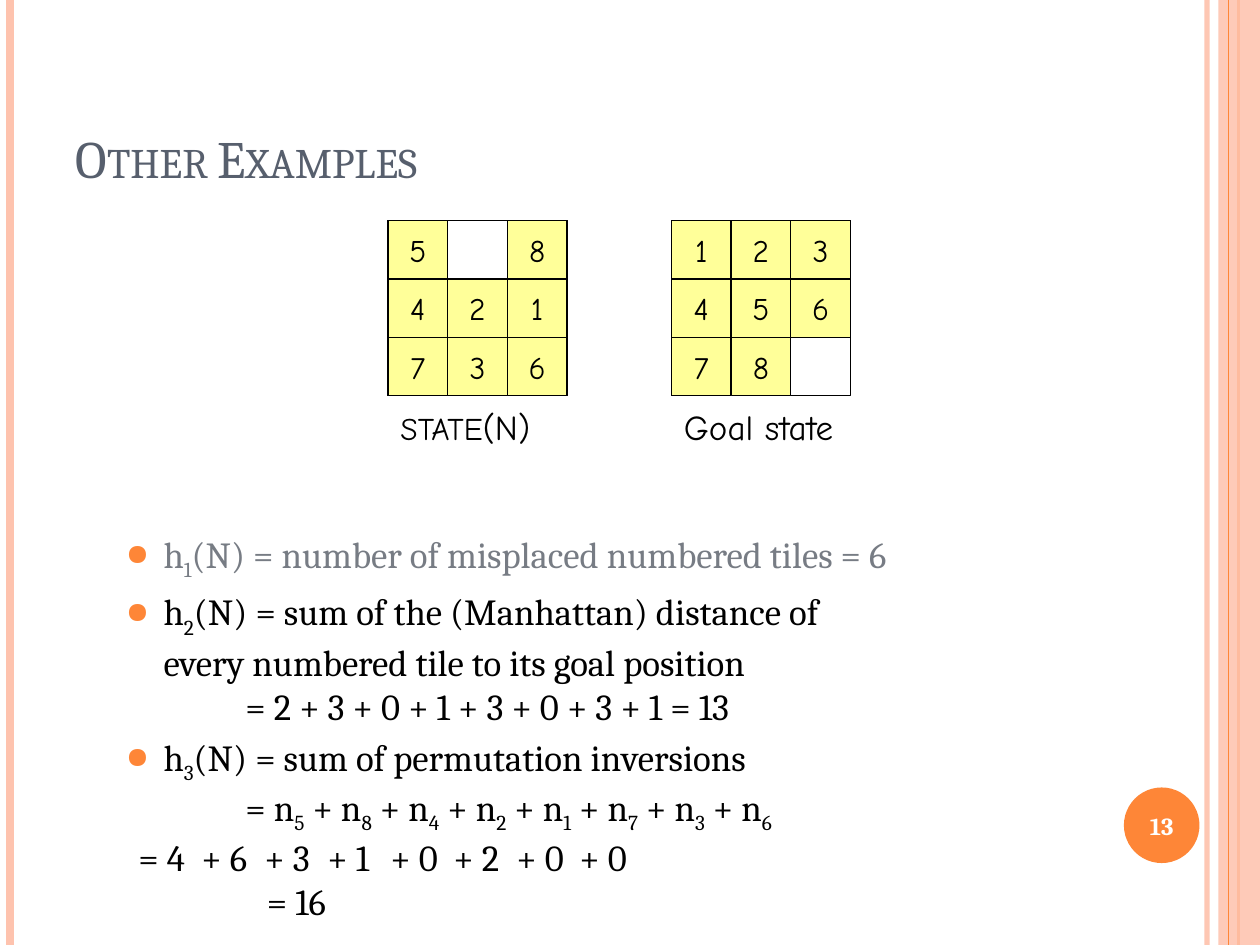
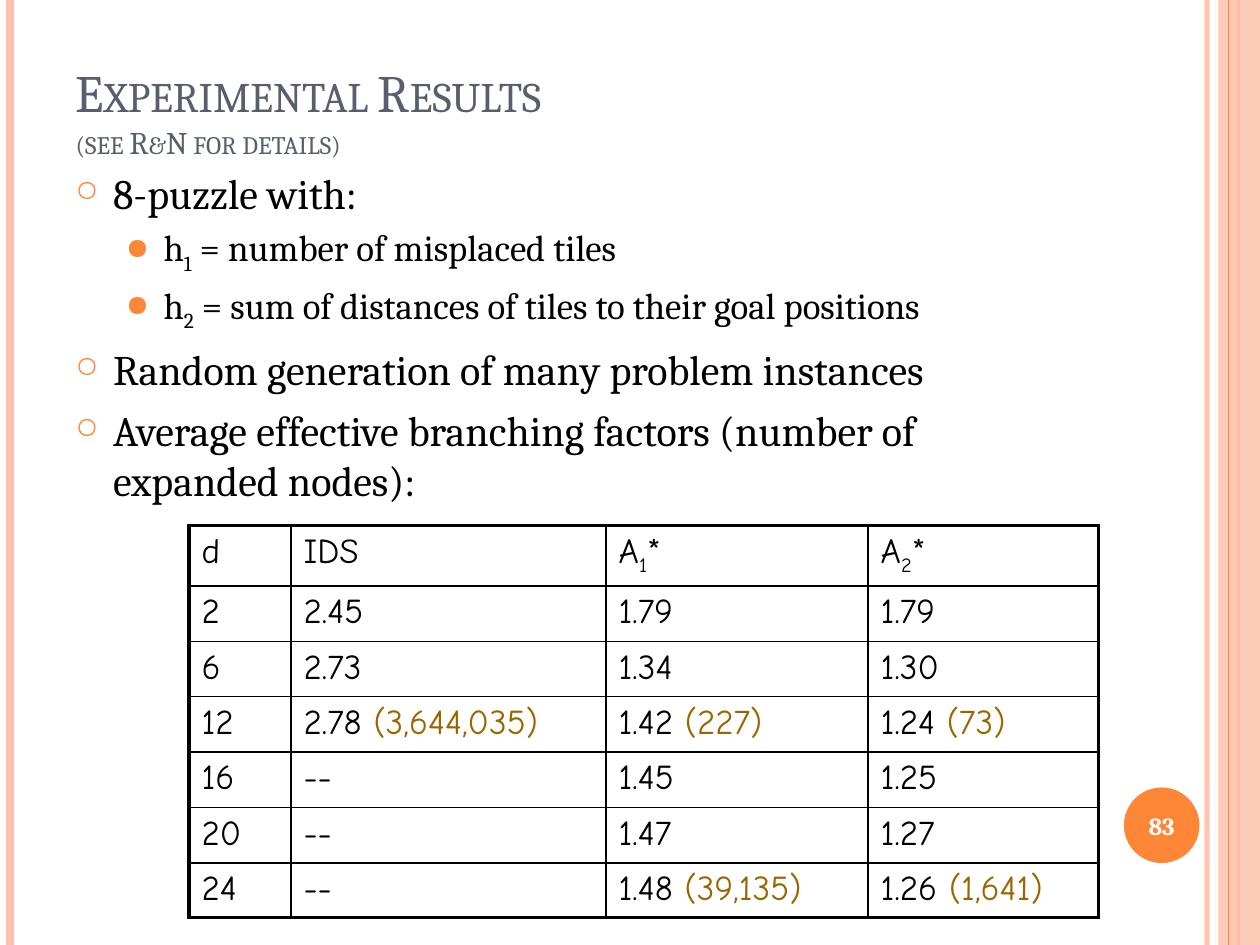
from pptx import Presentation
from pptx.dml.color import RGBColor
from pptx.enum import shapes, text
from pptx.oxml.ns import qn
from pptx.util import Inches, Pt
from lxml import etree

ORANGE, PEACH, SLATE = "FE8637", "FEC3AE", "575F6D"
BLACK, WHITE, GREY = "000000", "FFFFFF", "777C84"
TILE_YELLOW, COUNT_BROWN = "FFFF99", "996600"
SERIF, COMIC = "Cambria", "Comic Neue"

MISPLACED = ["h~1~(N) = number of misplaced numbered tiles = 6"]
MANHATTAN = ["h~2~(N) = sum of the (Manhattan) distance of"]
START = ["5", "", "8", "4", "2", "1", "7", "3", "6"]
GOAL = ["1", "2", "3", "4", "5", "6", "7", "8", ""]
TERM_TABS = [1.52, 2.02, 2.51, 3.06, 3.59, 4.09, 4.65, 5.15]
RESULTS = [
    ["d", "IDS", "A~1~*", "A~2~*"],
    ["2", "2.45", "1.79", "1.79"],
    ["6", "2.73", "1.34", "1.30"],
    ["12", "2.78 (3,644,035)", "1.42 (227)", "1.24 (73)"],
    ["16", "--", "1.45", "1.25"],
    ["20", "--", "1.47", "1.27"],
    ["24", "--", "1.48 (39,135)", "1.26 (1,641)"],
]


def rgb(value):
    """Turn a hex string into a colour."""
    return RGBColor.from_string(value)


def sub(parent, tag, **attributes):
    """Append a drawing element and return it."""
    return etree.SubElement(parent, qn(tag), {k: str(v) for k, v in attributes.items()})


def write(paragraph, content, size=20, font=SERIF, color=BLACK, bold=False, small_caps=False):
    """Add formatted text in which parts between tildes are subscripts."""
    for index, part in enumerate(content.split("~")):
        if not part:
            continue
        run = paragraph.add_run()
        run.text = part
        run.font.size, run.font.name, run.font.bold = Pt(size), font, bold
        run.font.color.rgb = rgb(color)
        properties = run._r.get_or_add_rPr()
        if index % 2:
            properties.set("baseline", "-25000")
        if small_caps:
            properties.set("cap", "small")


def fade(shape, opacity):
    """Set the opacity, in percent, of a shape's colours."""
    for color in list(shape._element.spPr.iter(qn("a:srgbClr"))):
        sub(color, "a:alpha", val=opacity * 1000)


def add_rule(slide, x, color, width):
    """Draw a full-height vertical line."""
    rule = slide.shapes.add_connector(
        shapes.MSO_CONNECTOR.STRAIGHT, Inches(x), 0, Inches(x), Inches(7.5))
    rule.line.color.rgb, rule.line.width = rgb(color), Pt(width)
    sub(rule._element.spPr, "a:effectLst")
    return rule


def add_box(slide, kind, left, top, width, height, fill=None, outline=None):
    """Draw a preset shape with centred text and optional fill and outline."""
    box = slide.shapes.add_shape(
        kind, Inches(left), Inches(top), Inches(width), Inches(height))
    box.shadow.inherit = False
    if fill:
        box.fill.solid()
        box.fill.fore_color.rgb = rgb(fill)
    else:
        box.fill.background()
    if outline:
        box.line.color.rgb, box.line.width = rgb(outline), Pt(0.75)
    else:
        box.line.fill.background()
    frame = box.text_frame
    frame.word_wrap = False
    frame.vertical_anchor = text.MSO_ANCHOR.MIDDLE
    frame.paragraphs[0].alignment = text.PP_ALIGN.CENTER
    return box


def add_frame(slide, left, top, width, height):
    """Add a wrapping text box and return its text frame."""
    frame = slide.shapes.add_textbox(
        Inches(left), Inches(top), Inches(width), Inches(height)).text_frame
    frame.word_wrap = True
    return frame


def add_themed_slide(deck, number, title_top, title, subtitle=None):
    """Add a slide with side bands, page number and small-caps title."""
    slide = deck.slides.add_slide(deck.slide_layouts[5])
    fade(add_rule(slide, 9.58, PEACH, 3), 93)
    add_rule(slide, 0.08, PEACH, 4.5)
    add_rule(slide, 9.83, ORANGE, 1.5)
    fade(add_box(slide, shapes.MSO_SHAPE.RECTANGLE, 9.67, 0, 0.33, 7.5, PEACH), 87)
    add_rule(slide, 9.75, ORANGE, 0.75)
    badge = add_box(slide, shapes.MSO_SHAPE.OVAL, 8.92, 6.25, 0.6, 0.6, ORANGE)
    write(badge.text_frame.paragraphs[0], str(number), size=14, color=WHITE, bold=True)

    heading = slide.shapes.title
    heading.left, heading.top = Inches(0.5), Inches(title_top)
    heading.width, heading.height = Inches(8.17), Inches(1.25)
    frame = heading.text_frame
    frame.auto_size = text.MSO_AUTO_SIZE.NONE
    frame.vertical_anchor = text.MSO_ANCHOR.BOTTOM
    line = frame.paragraphs[0]
    line.alignment = text.PP_ALIGN.LEFT
    write(line, title, size=30, color=SLATE, small_caps=True)
    if subtitle:
        line.add_line_break()
        write(line, subtitle, size=18, color=SLATE, small_caps=True)
    return slide


def add_line(frame, content, indent, bullet=None, tabs=(), space=0, size=21, color=BLACK):
    """Add a body paragraph with an optional bullet and tab stops."""
    first = not frame.paragraphs[0].runs
    paragraph = frame.paragraphs[0] if first else frame.add_paragraph()
    properties = paragraph._p.get_or_add_pPr()
    properties.set("marL", str(Inches(indent)))
    properties.set("indent", str(Inches(-0.3 if bullet else 0)))
    if bullet:
        sub(sub(properties, "a:buClr"), "a:srgbClr", val=ORANGE)
        sub(properties, "a:buSzPct", val=70000 if bullet == "○" else 80000)
        sub(properties, "a:buChar", char=bullet)
    else:
        sub(properties, "a:buNone")
    if tabs:
        stops = sub(properties, "a:tabLst")
        for position in tabs:
            sub(stops, "a:tab", pos=Inches(position), algn="l")
    paragraph.space_before = Pt(0 if first else space)
    write(paragraph, content, size=size, color=color)


def add_topic(frame, content):
    """Add a first-level bullet."""
    add_line(frame, content, 0.3, "○", space=6, size=24)


def add_point(frame, content, color=BLACK):
    """Add a second-level bullet."""
    add_line(frame, content, 0.7, "●", space=4.2, color=color)


def add_puzzle(slide, left, tiles, caption):
    """Draw a 3 by 3 puzzle with a caption of (text, size) parts."""
    top, width, height = 1.75, 1.42, 1.39
    rectangle = shapes.MSO_SHAPE.RECTANGLE
    add_box(slide, rectangle, left, top, width, height, outline=BLACK)
    for index, digit in enumerate(tiles):
        row, column = divmod(index, 3)
        if digit:
            tile = add_box(slide, rectangle, left + column * width / 3,
                           top + row * height / 3, width / 3, height / 3,
                           TILE_YELLOW, BLACK)
            write(tile.text_frame.paragraphs[0], digit, size=18, font=COMIC)
    label = add_frame(slide, left, 3.17, 1.6, 0.43).paragraphs[0]
    for part, size in caption:
        write(label, part, size=size, font=COMIC)


def set_borders(cell, widths):
    """Give a cell black borders of the widths left, right, top, bottom."""
    properties = cell._tc.get_or_add_tcPr()
    for side, width in zip("LRTB", widths):
        border = sub(properties, f"a:ln{side}", w=Pt(width))
        sub(sub(border, "a:solidFill"), "a:srgbClr", val=BLACK)


def add_results(slide):
    """Add the table of branching factors with expanded node counts."""
    widths, heights = [0.81, 2.5, 2.08, 1.83], [0.44] * 6 + [0.41]
    table = slide.shapes.add_table(
        len(heights), len(widths), Inches(1.5), Inches(4.17),
        Inches(sum(widths)), Inches(sum(heights))).table
    table.first_row = table.horz_banding = False
    for column, width in zip(table.columns, widths):
        column.width = Inches(width)
    for row, height in zip(table.rows, heights):
        row.height = Inches(height)
    last_row, last_column = len(heights) - 1, len(widths) - 1
    for r, values in enumerate(RESULTS):
        for c, value in enumerate(values):
            cell = table.cell(r, c)
            edges = (c == 0, c == last_column, r == 0, r == last_row)
            set_borders(cell, [2.25 if edge else 1 for edge in edges])
            cell.fill.background()
            factor, bracket, count = value.partition("(")
            paragraph = cell.text_frame.paragraphs[0]
            write(paragraph, factor, font=COMIC)
            write(paragraph, bracket + count, font=COMIC, color=COUNT_BROWN)


def build_examples(deck):
    """Build the slide that works out three heuristics."""
    slide = add_themed_slide(deck, 13, 0.3, "Other Examples")
    body = add_frame(slide, 0.5, 4.17, 8.17, 2.91)
    add_point(body, MISPLACED[0], GREY)
    add_point(body, MANHATTAN[0])
    add_line(body, "every numbered tile to its goal position", 0.7)
    add_line(body, "= 2 + 3 + 0 + 1 + 3 + 0 + 3 + 1 = 13", 1.35)
    add_point(body, "h~3~(N) = sum of permutation inversions")
    add_line(body, "= " + " + ".join(f"n~{tile}~" for tile in "58421736"), 1.35)
    add_line(body, "\t= 4\t" + "\t".join(f"+ {count}" for count in "6310200"),
             0, tabs=TERM_TABS)
    add_line(body, "= 16", 1.52)
    add_puzzle(slide, 3.08, START, [("STATE", 18), ("(N)", 20)])
    add_puzzle(slide, 5.33, GOAL, [("Goal state", 20)])


def build_experiment(deck):
    """Build the slide with the experimental results."""
    slide = add_themed_slide(deck, 83, 0.08, "Experimental Results", "(see R&N for details)")
    body = add_frame(slide, 0.5, 1.28, 8.17, 2.85)
    add_topic(body, "8-puzzle with:")
    add_point(body, "h~1~ = number of misplaced tiles")
    add_point(body, "h~2~ = sum of distances of tiles to their goal positions")
    add_topic(body, "Random generation of many problem instances")
    add_topic(body, "Average effective branching factors (number of expanded nodes):")
    add_results(slide)


def main():
    """Build and save the deck."""
    deck = Presentation()
    deck.slide_width, deck.slide_height = Inches(10), Inches(7.5)
    build_examples(deck)
    build_experiment(deck)
    deck.save("out.pptx")


if __name__ == "__main__":
    main()
